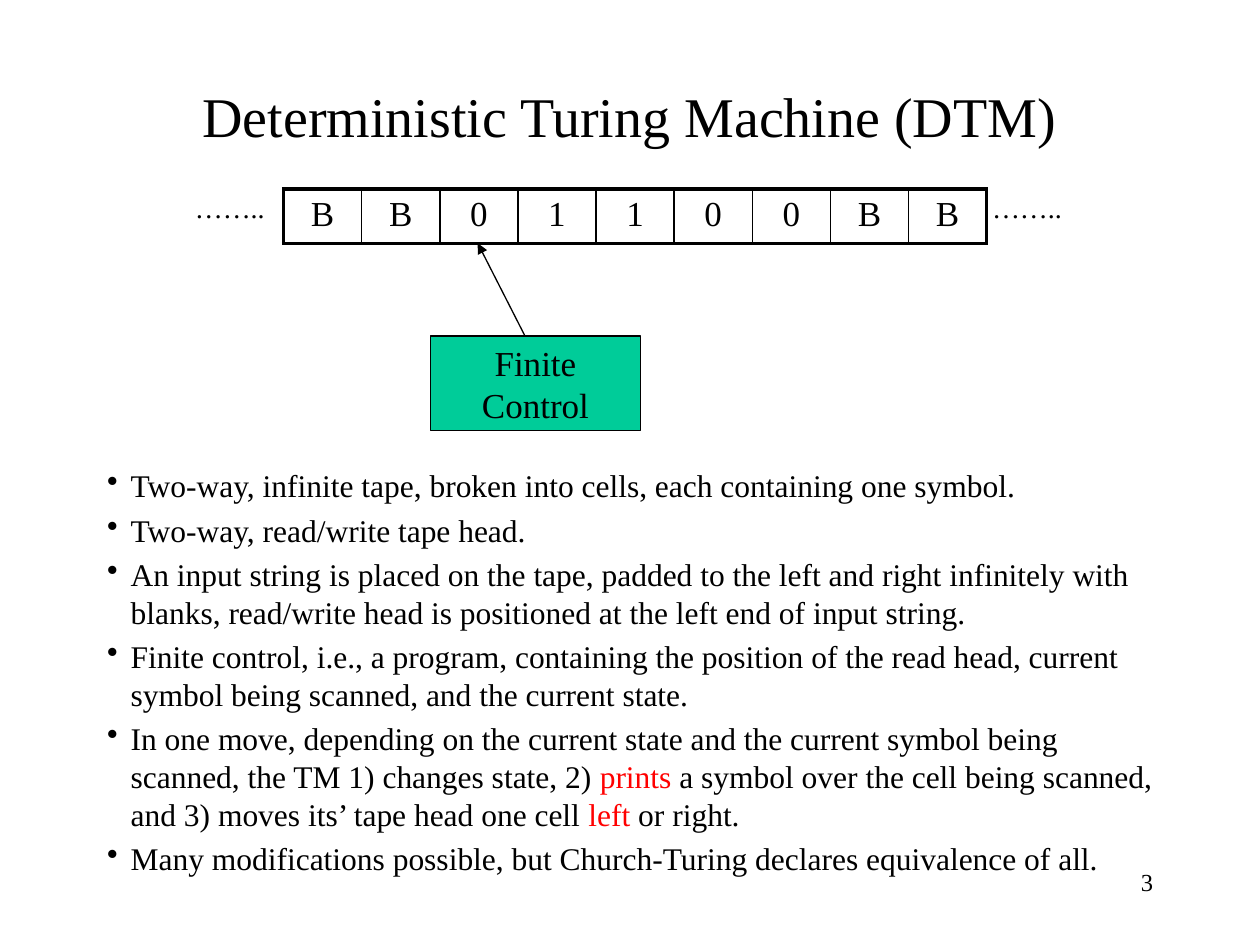
from lxml import etree
from pptx import Presentation
from pptx.dml.color import RGBColor
from pptx.enum import shapes, text
from pptx.oxml import ns
from pptx.util import Pt

FONT = "Times New Roman"
BLACK, RED, GREEN = "000000", "FF0000", "00CC99"
MID, RIGHT = text.PP_ALIGN.CENTER, text.PP_ALIGN.RIGHT
TAPE = "BB01100BB"
DOTS = "…….."
NOTES = [
    [("Two-way, infinite tape, broken into cells, each containing one symbol.", BLACK)],
    [("Two-way, read/write tape head.", BLACK)],
    [("An input string is placed on the tape, padded to the left and right "
      "infinitely with blanks, read/write head is positioned at the left end "
      "of input string.", BLACK)],
    [("Finite control, i.e., a program, containing the position of the read "
      "head, current symbol being scanned, and the current state.", BLACK)],
    [("In one move, depending on the current state and the current symbol "
      "being scanned, the TM 1) changes state, 2) ", BLACK),
     ("prints", RED),
     (" a symbol over the cell being scanned, and 3) moves its’ tape head one cell ", BLACK),
     ("left", RED), (" or right.", BLACK)],
    [("Many modifications possible, but Church-Turing declares equivalence of all.", BLACK)],
]


def color(code):
    return RGBColor.from_string(code)


def add_sub(node, tag, **attrs):
    return etree.SubElement(node, ns.qn(tag), attrs)


def put_runs(para, runs, size, align=None):
    para.alignment = align
    for words, code in runs:
        run = para.add_run()
        run.text = words
        for key, val in {"name": FONT, "size": Pt(size)}.items():
            setattr(run.font, key, val)
        run.font.color.rgb = color(code)


def set_frame(frame, pad=(0, 0), **opts):
    side, top = map(Pt, pad)
    vals = {"margin_left": side, "margin_right": side,
            "margin_top": top, "margin_bottom": top, "word_wrap": True}
    for key, val in {**vals, **opts}.items():
        setattr(frame, key, val)


def add_text(slide, box, words, size, align=None, **opts):
    frame = slide.shapes.add_textbox(*map(Pt, box)).text_frame
    set_frame(frame, **opts)
    put_runs(frame.paragraphs[0], [(words, BLACK)], size, align)


def set_edges(cell, widths):
    """Draw cell borders; widths maps each edge tag to points."""
    props = cell._tc.get_or_add_tcPr()
    for i, (tag, width) in enumerate(widths.items()):
        edge = etree.Element(ns.qn(tag), w=str(Pt(width)))
        fill = add_sub(edge, "a:solidFill")
        add_sub(fill, "a:srgbClr", val=BLACK)
        props.insert(i, edge)


def add_tape(slide, box):
    left, top, width, height = box
    count = len(TAPE)
    table = slide.shapes.add_table(1, count, *map(Pt, box)).table
    table.first_row = table.horz_banding = False
    table.rows[0].height = Pt(height)
    for i, sign in enumerate(TAPE):
        table.columns[i].width = Pt(width / count)
        cell = table.cell(0, i)
        cell.fill.background()
        put_runs(cell.text_frame.paragraphs[0], [(sign, BLACK)], 20, MID)
        set_edges(cell, {"a:lnL": 2.25 if i == 0 else 1,
                         "a:lnR": 2.25 if i == count - 1 else 1,
                         "a:lnT": 2.25, "a:lnB": 2.25})
    for x in (left - 50.6, left + width + 2.9):
        add_text(slide, (x, top + 0.7, 48, 20), DOTS, 16)


def add_control(slide, box):
    rect = slide.shapes.add_shape(shapes.MSO_SHAPE.RECTANGLE, *map(Pt, box))
    rect.shadow.inherit = False
    rect.fill.solid()
    rect.fill.fore_color.rgb = color(GREEN)
    rect.line.color.rgb = color(BLACK)
    rect.line.width = Pt(0.75)
    frame = rect.text_frame
    set_frame(frame, (7.2, 3.6), word_wrap=False,
              vertical_anchor=text.MSO_ANCHOR.MIDDLE)
    put_runs(frame.paragraphs[0], [("Finite", BLACK)], 20, MID)
    put_runs(frame.add_paragraph(), [("Control", BLACK)], 20, MID)


def add_head(slide, start, end):
    """Draw the arrow from the control to the scanned cell."""
    line = slide.shapes.add_connector(
        shapes.MSO_CONNECTOR.STRAIGHT, *map(Pt, start + end))
    line.line.color.rgb = color(BLACK)
    line.line.width = Pt(0.75)
    add_sub(line.line._get_or_add_ln(), "a:tailEnd", type="triangle")
    add_sub(line._element.spPr, "a:effectLst")


def add_notes(slide, box):
    frame = slide.shapes.add_textbox(*map(Pt, box)).text_frame
    set_frame(frame)
    for i, runs in enumerate(NOTES):
        para = frame.add_paragraph() if i else frame.paragraphs[0]
        para.space_before = Pt(3.75 if i else 0)
        put_runs(para, runs, 18)
        props = para._p.get_or_add_pPr()
        props.set("marL", str(Pt(13.5)))
        props.set("indent", str(Pt(-13.5)))
        add_sub(props, "a:buChar", char="•")


def main():
    deck = Presentation()
    deck.slide_width, deck.slide_height = Pt(720), Pt(540)
    slide = deck.slides.add_slide(deck.slide_layouts[6])
    add_text(slide, (54, 30, 612, 72), "Deterministic Turing Machine (DTM)", 32,
             MID, pad=(7.2, 3.6), vertical_anchor=text.MSO_ANCHOR.MIDDLE)
    add_tape(slide, (162, 108, 402, 31))
    add_control(slide, (246, 192, 120, 54))
    add_head(slide, (300, 192), (273, 139))
    add_notes(slide, (61.2, 266.5, 597.6, 246))
    add_text(slide, (516, 492, 150, 36), "3", 14, RIGHT, pad=(7.2, 3.6))
    deck.save("out.pptx")


if __name__ == "__main__":
    main()
